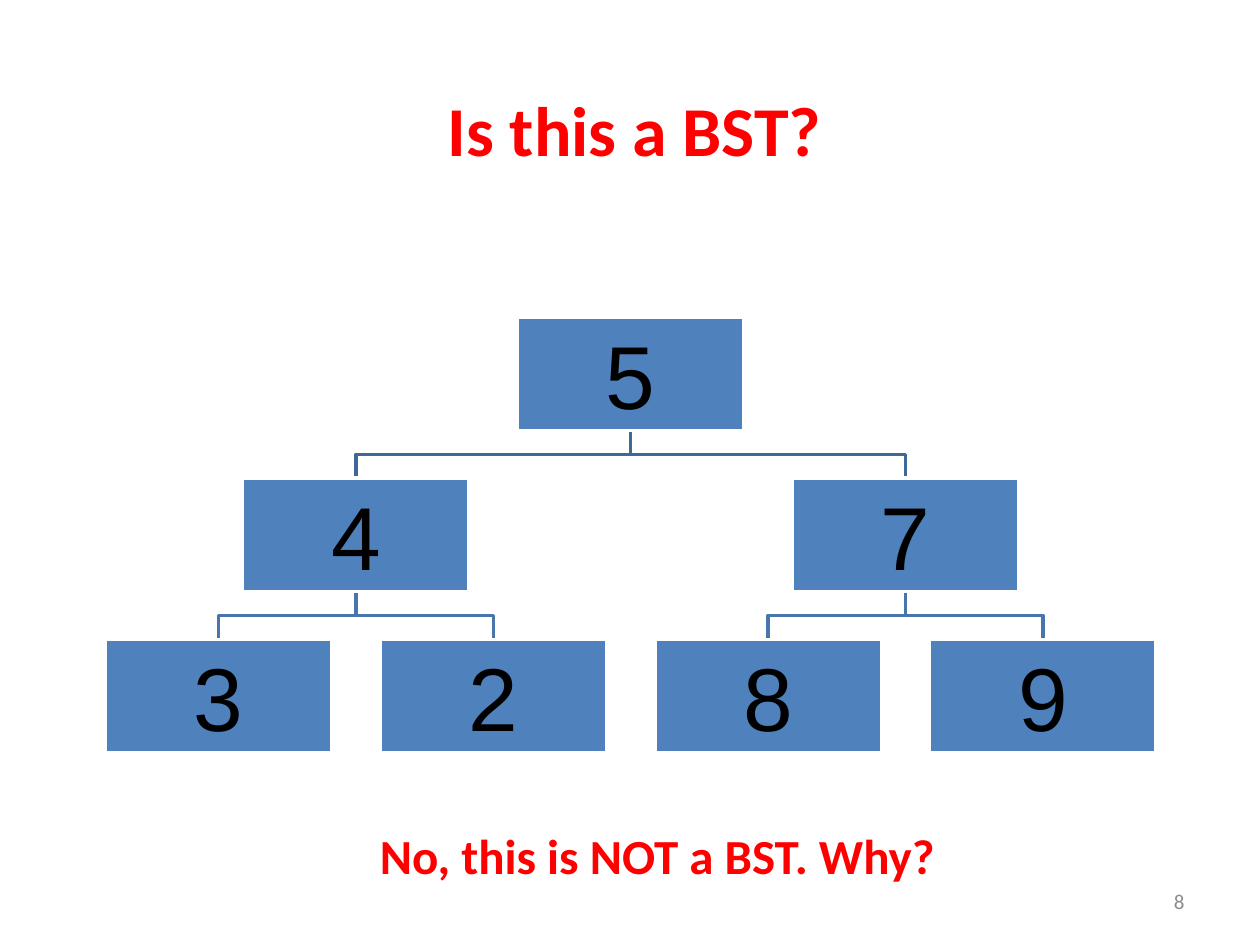
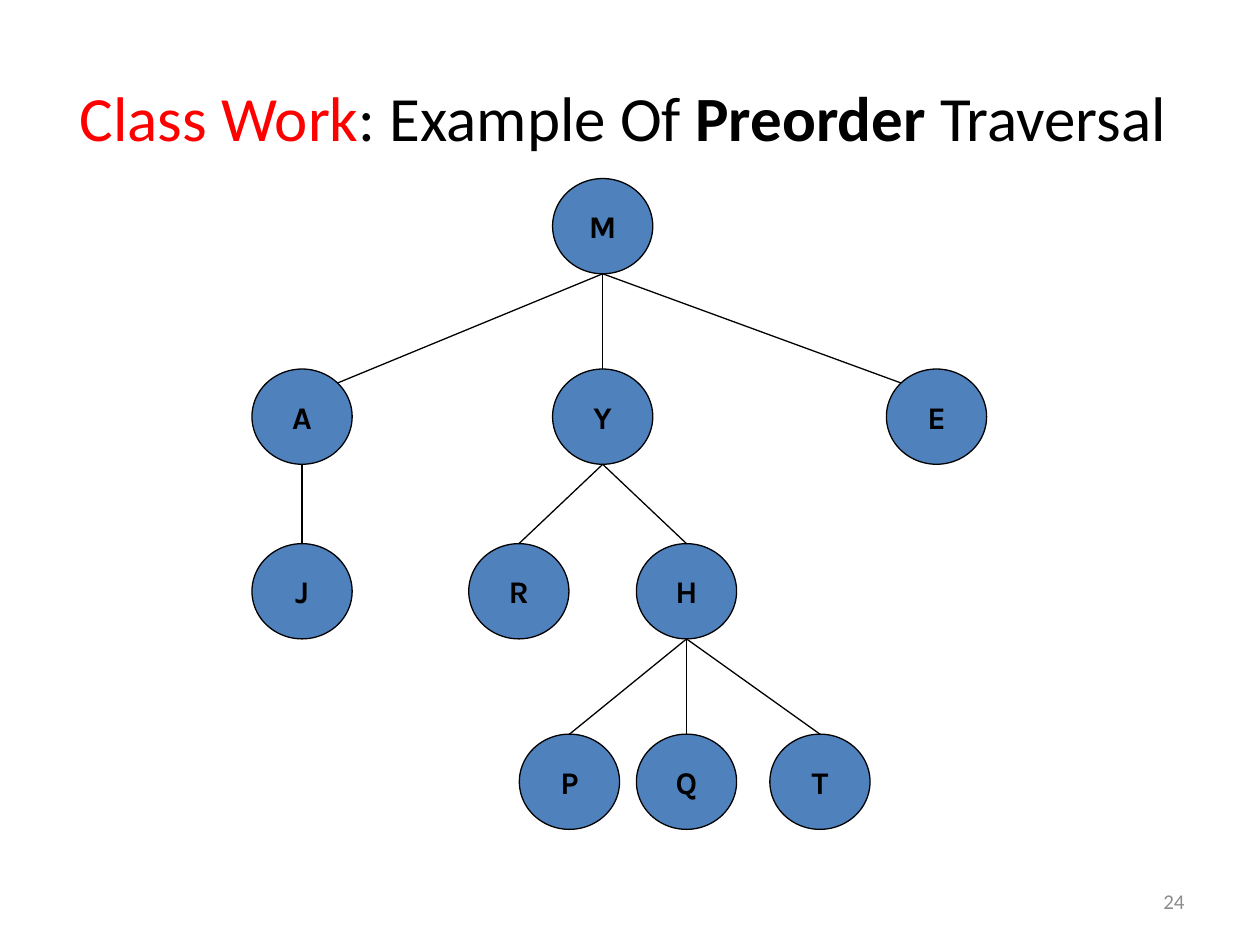
from lxml import etree
from pptx import Presentation
from pptx.dml.color import RGBColor
from pptx.enum.shapes import MSO_CONNECTOR, MSO_SHAPE
from pptx.enum.text import MSO_ANCHOR, MSO_AUTO_SIZE, PP_ALIGN
from pptx.oxml.ns import qn
from pptx.util import Cm, Pt

RECT, OVAL = MSO_SHAPE.RECTANGLE, MSO_SHAPE.OVAL
STRAIGHT = MSO_CONNECTOR.STRAIGHT
LEFT, CENTER, RIGHT = PP_ALIGN.LEFT, PP_ALIGN.CENTER, PP_ALIGN.RIGHT
TOP, MIDDLE = MSO_ANCHOR.TOP, MSO_ANCHOR.MIDDLE

COLORS = {
    "red": "FF0000", "black": "000000", "white": "FFFFFF", "gray": "8C8C8C",
    "node": "4F81BD", "upper_link": "3F6797", "lower_link": "4875AC",
}

BST_TITLE = [("Is this a BST?", {"color": "red", "bold": True})]
BST_ANSWER = [("No, this is NOT a BST. Why?", {"color": "red", "bold": True})]
BST_LEVELS = ["5", "47", "3289"]
BST_LINKS = ["upper_link", "lower_link"]
BOX_W, BOX_H = 4.57, 2.29
BOX_LEFT, BOX_TOP = 2.12, 6.39
BOX_PITCH, LEVEL_PITCH = 5.54, 3.25

PREORDER_TITLE = [
    ("Class Work", {"color": "red"}), (": Example Of ", {}),
    ("Preorder", {"bold": True}), (" Traversal ", {}),
]
NODE_W, NODE_H = 2.02, 1.92
NODE_TOPS = [3.6, 7.44, 10.96, 14.8]
NODE_CENTERS = {
    "M": (12.15, 0), "A": (6.09, 1), "Y": (12.15, 1), "E": (18.88, 1),
    "J": (6.09, 2), "R": (10.46, 2), "H": (13.84, 2),
    "P": (11.48, 3), "Q": (13.84, 3), "T": (16.53, 3),
}
CHILDREN = {"M": "AYE", "A": "J", "Y": "RH", "H": "PQT"}
LINK_SIDES = {"A": 1, "E": -1}
DIAGONAL = 0.5 ** 0.5


def rgb(name):
    return RGBColor.from_string(COLORS[name])


def write(tf, runs, size, font="Calibri", align=CENTER, anchor=MIDDLE,
          wrap=True, margin=None):
    tf.auto_size = MSO_AUTO_SIZE.NONE
    tf.word_wrap = wrap
    tf.vertical_anchor = anchor
    if margin is not None:
        tf.margin_left = tf.margin_right = Cm(margin)
        tf.margin_top = tf.margin_bottom = Cm(margin)
    p = tf.paragraphs[0]
    p.alignment = align
    for text, style in runs:
        r = p.add_run()
        r.text = text
        r.font.name, r.font.size = font, Pt(size)
        r.font.bold = style.get("bold", False)
        r.font.color.rgb = rgb(style.get("color", "black"))


def add_text(slide, area, runs, size, **fmt):
    sp = slide.shapes.add_textbox(*map(Cm, area))
    write(sp.text_frame, runs, size, **fmt)


def add_slide(prs, title, area, size, number):
    slide = prs.slides.add_slide(prs.slide_layouts[5])
    sp = slide.shapes.title
    sp.left, sp.top, sp.width, sp.height = map(Cm, area)
    write(sp.text_frame, title, size)
    add_text(slide, (18.2, 17.66, 5.93, 1.01), [(number, {"color": "gray"})], 12,
             align=RIGHT)
    return slide


def add_node(slide, kind, area, line, width, text, size, **fmt):
    sp = slide.shapes.add_shape(kind, *map(Cm, area))
    sp.shadow.inherit = False
    sp.fill.solid()
    sp.fill.fore_color.rgb = rgb("node")
    sp.line.color.rgb = rgb(line)
    sp.line.width = Pt(width)
    write(sp.text_frame, [text], size, **fmt)


def add_elbow(slide, start, end, color):
    (x1, y1), (x2, y2) = start, end
    middle = (y1 + y2) / 2
    points = [(Cm(x), Cm(y)) for x, y in
              [(x1, y1), (x1, middle), (x2, middle), (x2, y2)]]
    builder = slide.shapes.build_freeform(*points[0])
    builder.add_line_segments(points[1:], close=False)
    sp = builder.convert_to_shape()
    sp.shadow.inherit = False
    sp.fill.background()
    sp.line.color.rgb = rgb(color)
    sp.line.width = Pt(2)


def add_link(slide, start, end):
    cxn = slide.shapes.add_connector(STRAIGHT, *map(Cm, start + end))
    cxn.line.color.rgb = rgb("black")
    cxn.line.width = Pt(0.75)
    etree.SubElement(cxn.element.spPr, qn("a:effectLst"))


def box_center(level, index):
    leaves = len(BST_LEVELS[-1])
    span = leaves / len(BST_LEVELS[level])
    return BOX_LEFT + BOX_W / 2 + BOX_PITCH * (span * (index + 0.5) - 0.5)


def build_bst(prs):
    slide = add_slide(prs, BST_TITLE, (2.1, 1.53, 21.39, 2.11), 40, "8")
    for level, color in enumerate(BST_LINKS):
        bottom = BOX_TOP + level * LEVEL_PITCH + BOX_H
        child_top = BOX_TOP + (level + 1) * LEVEL_PITCH
        for i in range(len(BST_LEVELS[level + 1])):
            add_elbow(slide, (box_center(level, i // 2), bottom),
                      (box_center(level + 1, i), child_top), color)
    for level, keys in enumerate(BST_LEVELS):
        for i, key in enumerate(keys):
            area = (box_center(level, i) - BOX_W / 2,
                    BOX_TOP + level * LEVEL_PITCH, BOX_W, BOX_H)
            add_node(slide, RECT, area, "white", 2, (key, {}), 51,
                     font="Arial", margin=0.1)
    add_text(slide, (7.41, 16.51, 11.84, 1.45), BST_ANSWER, 28,
             align=LEFT, anchor=TOP, wrap=False)


def build_preorder(prs):
    slide = add_slide(prs, PREORDER_TITLE, (1.27, 0.76, 22.86, 3.18), 36, "24")
    for name, (center, level) in NODE_CENTERS.items():
        area = (center - NODE_W / 2, NODE_TOPS[level], NODE_W, NODE_H)
        add_node(slide, OVAL, area, "black", 0.75, (name, {"bold": True}), 18,
                 font="Karla", wrap=False)
    for parent, children in CHILDREN.items():
        center, level = NODE_CENTERS[parent]
        start = (center, NODE_TOPS[level] + NODE_H)
        for child in children:
            center, level = NODE_CENTERS[child]
            side = LINK_SIDES.get(child, 0)
            rise = DIAGONAL if side else 1
            end = (center + side * DIAGONAL * NODE_W / 2,
                   NODE_TOPS[level] + NODE_H / 2 * (1 - rise))
            add_link(slide, start, end)


def main():
    prs = Presentation()
    prs.slide_width, prs.slide_height = Cm(25.4), Cm(19.05)
    build_bst(prs)
    build_preorder(prs)
    prs.save("out.pptx")


if __name__ == "__main__":
    main()
